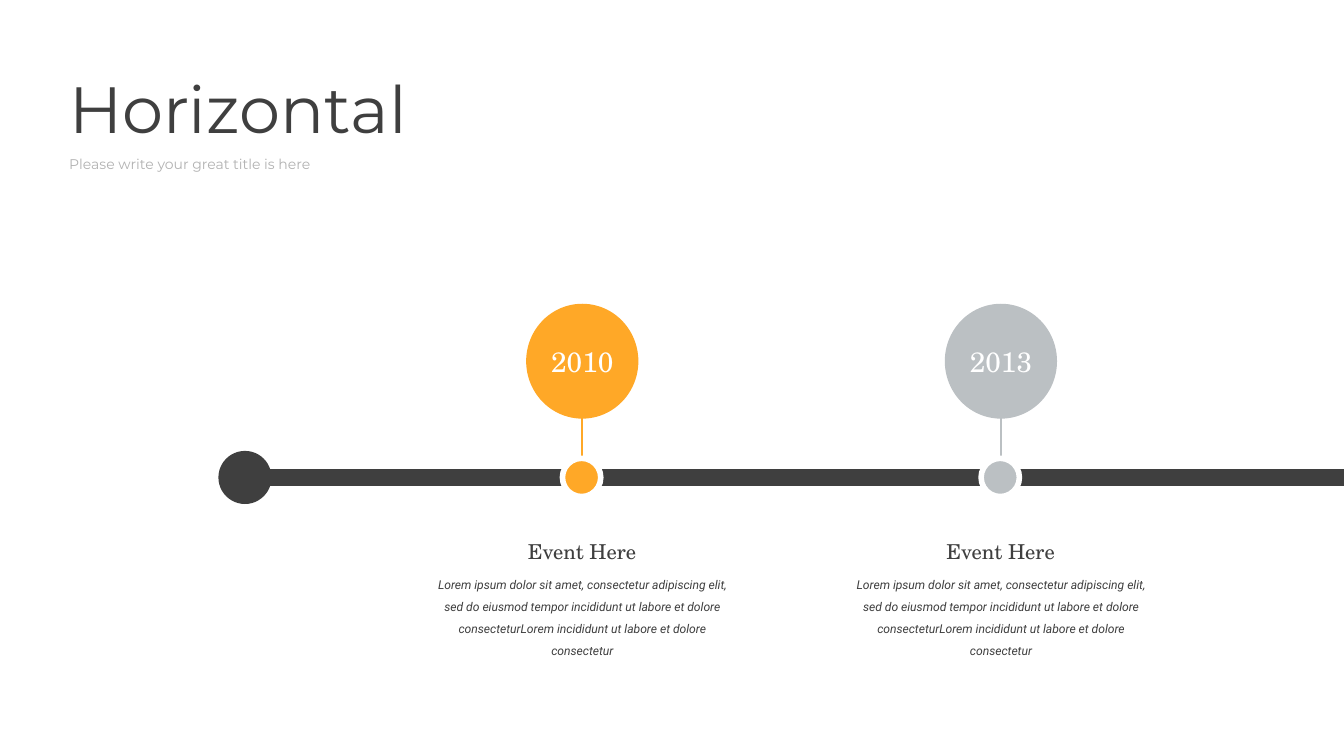
import pptx
import pptx.dml.color
import pptx.enum.shapes
import pptx.enum.text
import pptx.oxml
import pptx.util

PX = 9144  # 100 px to the inch
DARK, ORANGE, SILVER, PALE, WHITE = "3F3F3F", "FFA827", "BBC0C3", "B2B2B2", "FFFFFF"
SERIF, SANS, TITLE = "TeX Gyre Schola", "Roboto", "Montserrat"
SHAPE = pptx.enum.shapes.MSO_SHAPE
ALIGN = pptx.enum.text.PP_ALIGN
BODY = ("Lorem ipsum dolor sit amet, consectetur adipiscing elit, sed do eiusmod "
        "tempor incididunt ut labore et dolore consecteturLorem incididunt ut "
        "labore et dolore consectetur")


def rgb(color):
    return pptx.dml.color.RGBColor.from_string(color)


def px(*values):
    return [pptx.util.Emu(v * PX) for v in values]


def set_text(sp, text, font, size, color, align=ALIGN.CENTER, inset=10,
             italic=False, spacing=1.0):
    tf = sp.text_frame
    tf.text = text
    tf.word_wrap = True
    tf.auto_size = pptx.enum.text.MSO_AUTO_SIZE.NONE
    tf.vertical_anchor = pptx.enum.text.MSO_ANCHOR.TOP
    tf.margin_left, tf.margin_top, tf.margin_right, tf.margin_bottom = px(inset, 5, inset, 5)
    p = tf.paragraphs[0]
    p.alignment = align
    p.line_spacing = spacing
    p.space_before = pptx.util.Pt(0)
    f = p.runs[0].font
    f.name, f.size, f.italic = font, pptx.util.Pt(size), italic
    f.color.rgb = rgb(color)


def add_text(s, box, *args, **kwargs):
    set_text(s.shapes.add_textbox(*px(*box)), *args, **kwargs)


def add_filled(s, kind, box, fill, line=None, width=0):
    sp = s.shapes.add_shape(kind, *px(*box))
    sp.shadow.inherit = False
    sp.fill.solid()
    sp.fill.fore_color.rgb = rgb(fill)
    if line:
        sp.line.color.rgb = rgb(line)
        sp.line.width = pptx.util.Pt(width)
    else:
        sp.line.fill.background()


def add_heading(s, x, y):
    for sp, text, box, size, color in (
            (s.shapes.title, "Horizontal", (x, y, 656, 128), 70, DARK),
            (s.placeholders[1], "Please write your great title is here",
             (x, y + 129, 462, 35), 15, PALE)):
        sp.left, sp.top, sp.width, sp.height = px(*box)
        set_text(sp, text, TITLE, size, color, ALIGN.LEFT, inset=7)


def add_axis(s, x, cy, right):
    """Draw the bar from its round end to the right edge."""
    add_filled(s, SHAPE.OVAL, (x, cy - 39, 79, 79), DARK)
    add_filled(s, SHAPE.RECTANGLE, (x + 37, cy - 12, right - x - 37, 25), DARK)


def add_event(s, cx, cy, year, color):
    """Place one event around its point on the axis."""
    stem = s.shapes.add_connector(pptx.enum.shapes.MSO_CONNECTOR.STRAIGHT,
                                  *px(cx, cy - 97, cx, cy))
    stem.line.color.rgb = rgb(color)
    stem.line.width = pptx.util.Pt(2.25)
    stem._element.spPr.append(pptx.oxml.parse_xml(
        '<a:effectLst xmlns:a="http://schemas.openxmlformats.org/drawingml/2006/main"/>'))
    add_filled(s, SHAPE.OVAL, (cx - 83, cy - 258, 167, 171), color)
    add_text(s, (cx - 79, cy - 203, 159, 61), year, SERIF, 30, WHITE)
    add_filled(s, SHAPE.OVAL, (cx - 29, cy - 28, 57, 57), color, WHITE, 6)
    add_text(s, (cx - 152, cy + 87, 304, 47), "Event Here", SERIF, 22, DARK)
    add_text(s, (cx - 237, cy + 134, 475, 141), BODY, SANS, 13, DARK,
             italic=True, spacing=1.5)


def main():
    prs = pptx.Presentation()
    prs.slide_width, prs.slide_height = px(2000, 1125)
    s = prs.slides.add_slide(prs.slide_layouts[0])
    add_heading(s, 96, 97)
    axis_y = 710
    add_axis(s, 325, axis_y, 2000)
    for i, (year, color) in enumerate((("2010", ORANGE), ("2013", SILVER))):
        add_event(s, 866 + 623 * i, axis_y, year, color)
    prs.save("out.pptx")


if __name__ == "__main__":
    main()
